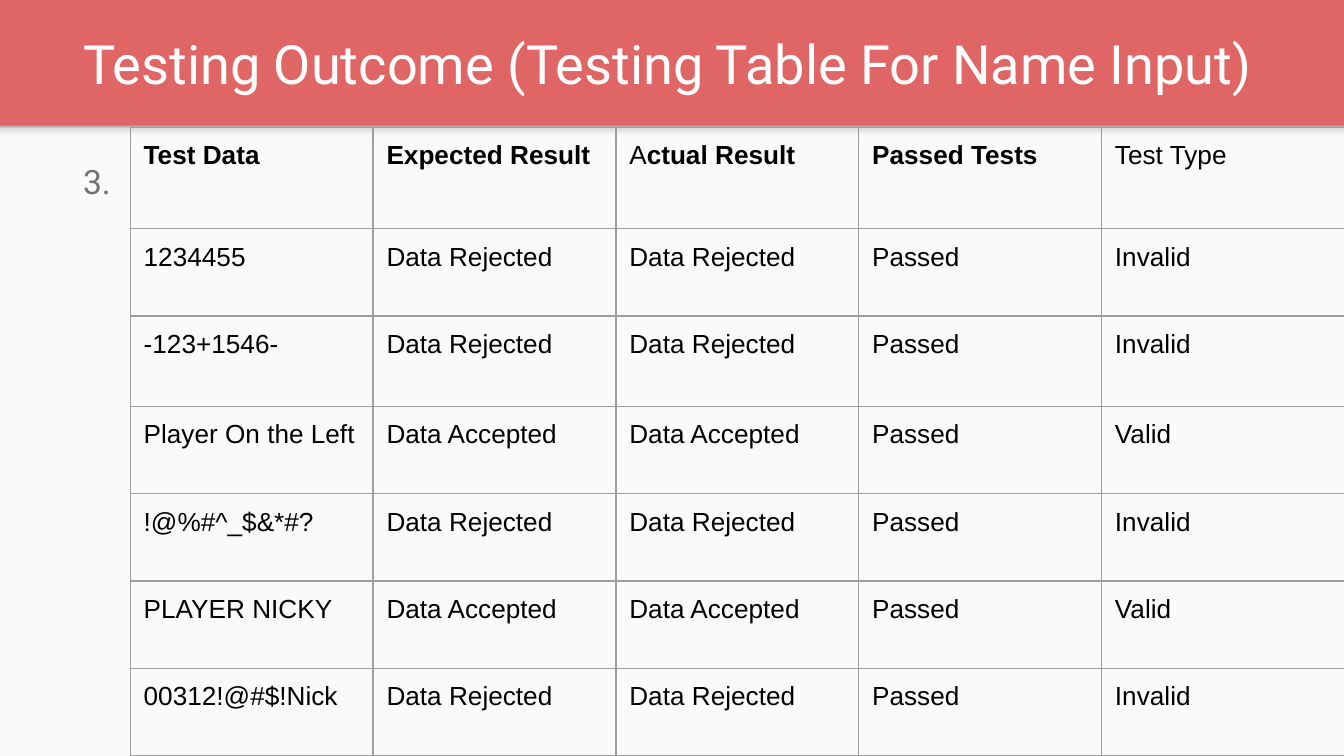
from lxml import etree
from pptx import Presentation
from pptx import util as u
from pptx.dml.color import RGBColor
from pptx.enum import shapes, text
from pptx.oxml import ns

HEX = {"red": "E06666", "pale": "FAFAFA", "white": "FFFFFF",
       "gray": "737373", "black": "000000", "rule": "9E9E9E"}
FADE = [(0, "F9F9F9"), (36, "F9F9F9"), (80, "DEDEDE"), (100, "999999")]
HEAD = [[("Test Data", True)], [("Expected Result", True)],
        [("A", False), ("ctual Result", True)],
        [("Passed Tests", True)], [("Test Type", False)]]
TESTS = [("1234455", False), ("-123+1546-", False),
         ("Player On the Left", True), ("!@%#^_$&*#?", False),
         ("PLAYER NICKY", True), ("00312!@#$!Nick", False)]


class Deck:
    """Holds the style and the current slide, and draws each kind of element."""

    def __init__(self, wide, high):
        self.prs = Presentation()
        self.prs.slide_width, self.prs.slide_height = u.Pt(wide), u.Pt(high)
        self.slide = self.prs.slides.add_slide(self.prs.slide_layouts[6])
        self.pad = u.Pt(7.2)

    def tint(self, fill, name):
        fill.solid()
        fill.fore_color.rgb = RGBColor.from_string(HEX[name])

    def ground(self, name):
        self.tint(self.slide.background.fill, name)

    def rect(self, *box):
        form = self.slide.shapes.add_shape(
            shapes.MSO_SHAPE.RECTANGLE, *map(u.Pt, box))
        form.shadow.inherit = False
        form.line.fill.background()
        return form

    def panel(self, box, name):
        self.tint(self.rect(*box).fill, name)

    def shade(self, box, stops):
        fill = self.rect(*box).fill
        fill.gradient()
        fill.gradient_angle = 90
        part = fill._xPr.find(ns.qn("a:gradFill")).find(ns.qn("a:gsLst"))
        for old in list(part):
            part.remove(old)
        for pos, tone in stops:
            stop = etree.SubElement(part, ns.qn("a:gs"), pos=str(pos * 1000))
            etree.SubElement(stop, ns.qn("a:srgbClr"), val=tone)

    def inset(self, item):
        item.margin_left = item.margin_right = self.pad
        item.margin_top = item.margin_bottom = self.pad

    def font(self, para, face, size, name):
        para.font.name, para.font.size = face, u.Pt(size)
        para.font.color.rgb = RGBColor.from_string(HEX[name])

    def label(self, box, words, size, name, anchor, space=1.0):
        frame = self.slide.shapes.add_textbox(*map(u.Pt, box)).text_frame
        frame.word_wrap, frame.vertical_anchor = True, anchor
        self.inset(frame)
        para = frame.paragraphs[0]
        para.text, para.line_spacing = words, space
        self.font(para, "Roboto", size, name)

    def edge(self, cell):
        props = cell._tc.get_or_add_tcPr()
        for spot, side in enumerate(("lnL", "lnR", "lnT", "lnB")):
            line = etree.Element(ns.qn("a:" + side), w=str(u.Pt(0.75)))
            fill = etree.SubElement(line, ns.qn("a:solidFill"))
            etree.SubElement(fill, ns.qn("a:srgbClr"), val=HEX["rule"])
            props.insert(spot, line)

    def cell(self, cell, runs):
        self.inset(cell)
        cell.fill.background()
        self.edge(cell)
        para = cell.text_frame.paragraphs[0]
        for words, bold in runs:
            run = para.add_run()
            run.text, run.font.bold = words, bold
        self.font(para, "Arial", 14, "black")

    def table(self, left, top, wide, highs, rows):
        count = len(rows[0])
        grid = self.slide.shapes.add_table(
            len(rows), count, u.Pt(left), u.Pt(top),
            u.Pt(wide * count), u.Pt(sum(highs))).table
        grid.first_row = grid.horz_banding = False
        for col in grid.columns:
            col.width = u.Pt(wide)
        for row, high, data in zip(grid.rows, highs, rows):
            row.height = u.Pt(high)
            for cell, runs in zip(row.cells, data):
                self.cell(cell, runs)


def main():
    deck = Deck(720, 405)
    deck.ground("red")
    deck.panel((0, 67.5, 720, 337.5), "pale")
    deck.shade((0, 67.2, 720, 8.4), FADE)
    deck.label((37.4, -2.2, 647.3, 60.5),
               "Testing Outcome (Testing Table For Name Input)",
               29, "white", text.MSO_ANCHOR.BOTTOM)
    deck.label((37.4, 75.6, 647.3, 289.4), "3.",
               18, "gray", text.MSO_ANCHOR.TOP, 1.15)
    rows = [HEAD]
    for data, valid in TESTS:
        result = "Data Accepted" if valid else "Data Rejected"
        kind = "Valid" if valid else "Invalid"
        rows.append([[(words, False)] for words in
                     (data, result, result, "Passed", kind)])
    deck.table(69.8, 68.2, 130.1, [54.4, 46.7, 48.6] + [46.7] * 4, rows)
    deck.prs.save("out.pptx")


if __name__ == "__main__":
    main()
